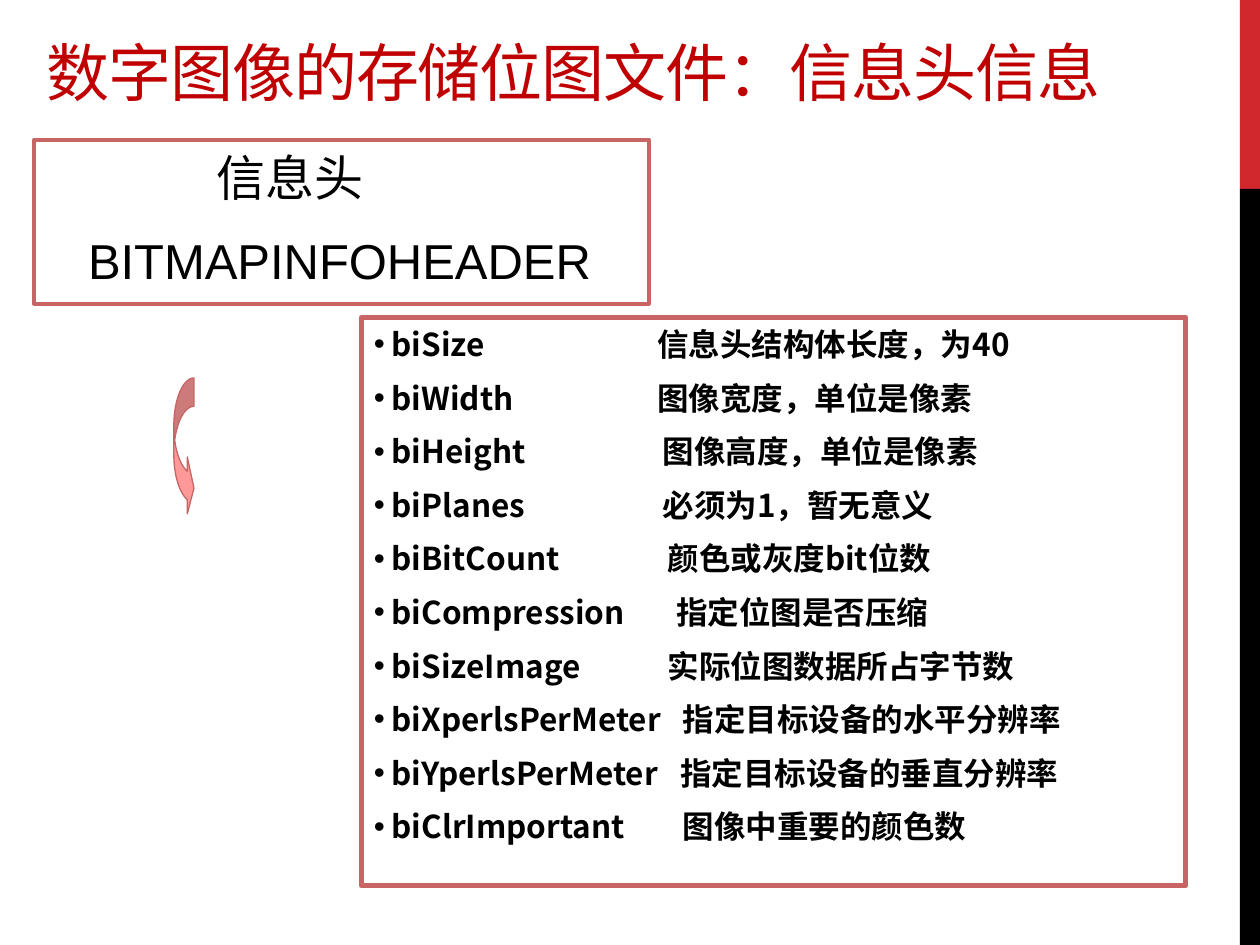
from dataclasses import dataclass

from lxml.etree import SubElement
from pptx import Presentation
from pptx.dml.color import RGBColor
from pptx.enum.shapes import MSO_SHAPE
from pptx.enum.text import MSO_ANCHOR, PP_ALIGN
from pptx.oxml.ns import qn
from pptx.util import Inches, Pt

RED = RGBColor(0xD1, 0x28, 0x2E)
BLACK = RGBColor(0, 0, 0)
WHITE = RGBColor(0xFF, 0xFF, 0xFF)
TITLE_RED = RGBColor(0xC0, 0, 0)
ROSE = RGBColor(0xC8, 0x64, 0x64)
PINK = RGBColor(0xFF, 0x99, 0x99)
CJK_FONT = "Noto Sans CJK SC"
LATIN_FONT = "Arial"
BULLET_INDENT = Inches(0.14)


@dataclass(frozen=True)
class Box:
    left: float
    top: float
    width: float
    height: float
    fill: RGBColor
    line: RGBColor | None = None
    line_width: float = 0
    kind: MSO_SHAPE = MSO_SHAPE.RECTANGLE


@dataclass(frozen=True)
class Field:
    name: str
    description: str
    tab_stop: float


@dataclass(frozen=True)
class HeaderLine:
    text: str
    indent: float


ACCENT_BAR = Box(9.84, 0, 0.16, 1.5, RED)
SIDE_BAR = Box(9.84, 1.5, 0.16, 6, BLACK)
FIELD_BOX = Box(2.87, 2.52, 6.54, 4.51, WHITE, ROSE, 3)
ARROW = Box(1.38, 3, 0.16, 1.1, PINK, ROSE, 0.75, MSO_SHAPE.CURVED_RIGHT_ARROW)
HEADER_BOX = Box(0.27, 1.11, 4.88, 1.3, WHITE, ROSE, 2.25)

FIELDS = [
    Field("biSize", "信息头结构体长度，为40", 2.25),
    Field("biWidth", "图像宽度，单位是像素", 2.25),
    Field("biHeight", "图像高度，单位是像素", 2.29),
    Field("biPlanes", "必须为1，暂无意义", 2.29),
    Field("biBitCount", "颜色或灰度bit位数", 2.33),
    Field("biCompression", "指定位图是否压缩", 2.4),
    Field("biSizeImage", "实际位图数据所占字节数", 2.33),
    Field("biXperlsPerMeter", "指定目标设备的水平分辨率", 2.45),
    Field("biYperlsPerMeter", "指定目标设备的垂直分辨率", 2.43),
    Field("biClrImportant", "图像中重要的颜色数", 2.45),
]
HEADER_LINES = [HeaderLine("信息头", 1.35), HeaderLine("BITMAPINFOHEADER", 0.33)]


def add_box(slide, box: Box):
    shape = slide.shapes.add_shape(
        box.kind, Inches(box.left), Inches(box.top), Inches(box.width), Inches(box.height)
    )
    shape.shadow.inherit = False
    shape.fill.solid()
    shape.fill.fore_color.rgb = box.fill
    if box.line is None:
        shape.line.fill.background()
    else:
        shape.line.color.rgb = box.line
        shape.line.width = Pt(box.line_width)
    shape.text_frame.word_wrap = True
    shape.text_frame.vertical_anchor = MSO_ANCHOR.TOP
    shape.text_frame.margin_top = Inches(0.06)
    return shape


def format_paragraph(paragraph, size: float, font: str, color: RGBColor, bold: bool = False) -> None:
    paragraph.alignment = PP_ALIGN.LEFT
    for run in paragraph.runs:
        run.font.size = Pt(size)
        run.font.name = font
        run.font.bold = bold
        run.font.color.rgb = color
        SubElement(run.font._element, qn("a:ea"), typeface=CJK_FONT)


def add_title(slide, text: str) -> None:
    title = slide.shapes.add_textbox(Inches(0.27), Inches(0.15), Inches(9.17), Inches(0.77))
    title.text_frame.word_wrap = True
    title.text_frame.margin_top = Inches(0.12)
    title.text_frame.text = text
    paragraph = title.text_frame.paragraphs[0]
    format_paragraph(paragraph, 36, CJK_FONT, TITLE_RED)
    paragraph.runs[0].font._element.set("spc", "-60")


def add_field_list(slide, fields: list[Field]) -> None:
    text_frame = add_box(slide, FIELD_BOX).text_frame
    text_frame.text = "\n".join(f"{field.name}\t{field.description}" for field in fields)
    for paragraph, field in zip(text_frame.paragraphs, fields):
        format_paragraph(paragraph, 18, CJK_FONT, BLACK, bold=True)
        paragraph.space_before = Pt(9)
        properties = paragraph._p.get_or_add_pPr()
        properties.set("marL", str(BULLET_INDENT))
        properties.set("indent", str(-BULLET_INDENT))
        SubElement(properties, qn("a:buFont"), typeface=LATIN_FONT)
        SubElement(properties, qn("a:buChar"), char="•")
        tab_list = SubElement(properties, qn("a:tabLst"))
        SubElement(tab_list, qn("a:tab"), pos=str(Inches(field.tab_stop)), algn="l")


def add_header(slide, lines: list[HeaderLine]) -> None:
    text_frame = add_box(slide, HEADER_BOX).text_frame
    text_frame.text = "\n".join(line.text for line in lines)
    for paragraph, line in zip(text_frame.paragraphs, lines):
        format_paragraph(paragraph, 28, LATIN_FONT, BLACK)
        paragraph.space_before = Pt(14)
        paragraph._p.get_or_add_pPr().set("marL", str(Inches(line.indent)))


def add_arrow(slide) -> None:
    arrow = add_box(slide, ARROW)
    for index, value in enumerate((1.41, 2.82, 0.33)):
        arrow.adjustments[index] = value


def main() -> None:
    """Build the slide on the bitmap information header."""
    presentation = Presentation()
    presentation.slide_width = Inches(10)
    presentation.slide_height = Inches(7.5)
    slide = presentation.slides.add_slide(presentation.slide_layouts[6])
    for bar in (ACCENT_BAR, SIDE_BAR):
        add_box(slide, bar)
    add_title(slide, "数字图像的存储位图文件：信息头信息")
    add_field_list(slide, FIELDS)
    add_arrow(slide)
    add_header(slide, HEADER_LINES)
    presentation.save("out.pptx")


if __name__ == "__main__":
    main()
